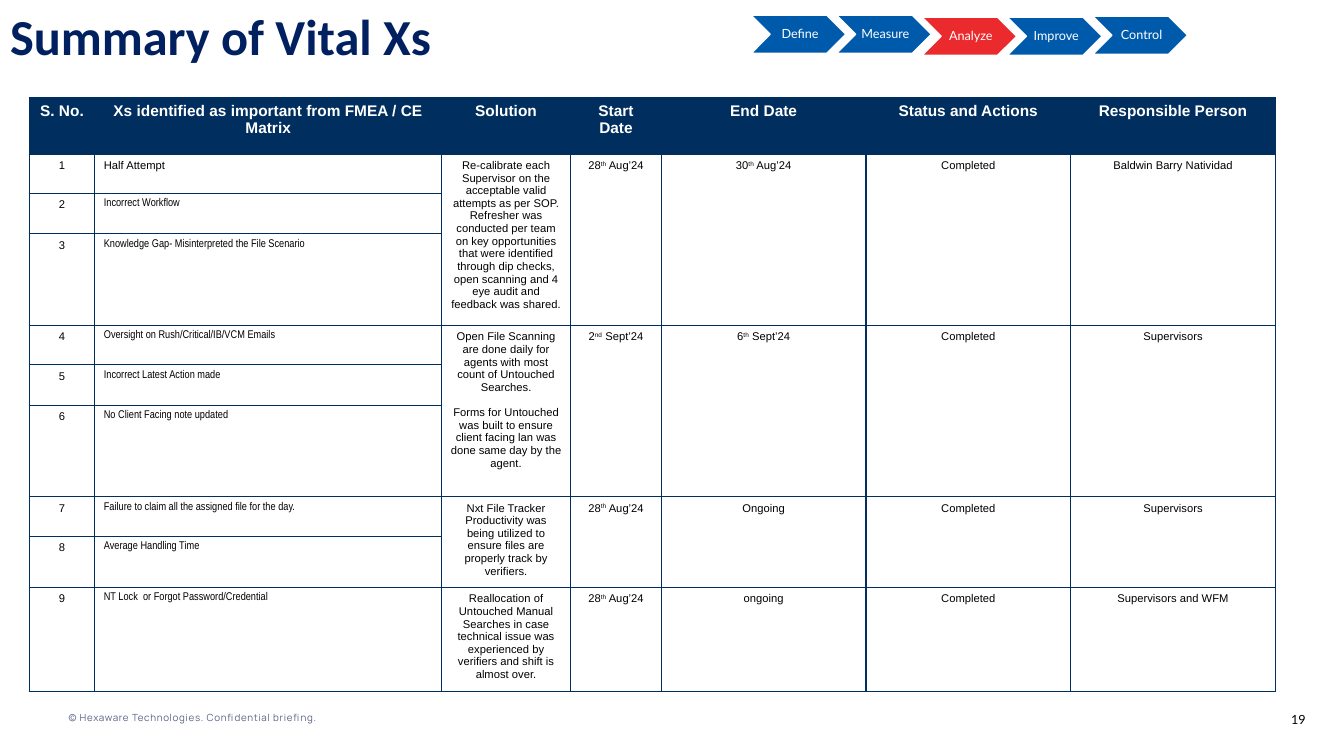
from pptx import Presentation
from pptx.dml.color import RGBColor
from pptx.enum.shapes import MSO_SHAPE as SHAPE
from pptx.enum.text import MSO_ANCHOR as ANCHOR, MSO_AUTO_SIZE as AUTO, PP_ALIGN as ALIGN
from pptx.oxml import parse_xml
from pptx.oxml.ns import nsdecls
from pptx.util import Inches, Pt

NAVY = "002F5F"
MARGINS = ("margin_left", "margin_top", "margin_right", "margin_bottom")


def style(p, size, font, color, align, bold=False):
    p.alignment = align
    p.font.size, p.font.name, p.font.bold = Pt(size), font, bold
    p.font.color.rgb = RGBColor.from_string(color)


def set_margins(target, *values):
    for name, value in zip(MARGINS, values):
        setattr(target, name, Inches(value))


prs = Presentation()
prs.slide_width, prs.slide_height = Inches(13.33), Inches(7.5)
s = prs.slides.add_slide(prs.slide_layouts[5])

title = s.shapes.title
title.left, title.top, title.width, title.height = 0, 0, prs.slide_width, Inches(0.71)
tf = title.text_frame
tf.text = "Summary of Vital Xs"
tf.auto_size, tf.vertical_anchor = AUTO.NONE, ANCHOR.TOP
style(tf.paragraphs[0], 36, "Calibri", "002060", ALIGN.LEFT, True)

footers = [
    ("19", 12.65, 0.3, 0.15, 9, "Lato", "000000", ALIGN.RIGHT, "0"),
    ("© Hexaware Technologies. Confidential briefing.", 0.68, 3.04, 0.12, 7,
     "Manrope", "5B6383", ALIGN.LEFT, "50"),
]
for text, left, width, height, size, font, color, align, spacing in footers:
    tf = s.shapes.add_textbox(Inches(left), Inches(7.06), Inches(width), Inches(height)).text_frame
    tf.word_wrap = True
    set_margins(tf, 0, 0, 0, 0)
    p = tf.paragraphs[0]
    r = p.add_run()
    r.text = text
    r.font._element.set("spc", spacing)
    style(p, size, font, color, align)

phases = [("Define", 0.15), ("Measure", 0.15), ("Analyze", 0.17), ("Improve", 0.17), ("Control", 0.16)]
for i, (phase, top) in enumerate(phases):
    sp = s.shapes.add_shape(SHAPE.CHEVRON, Inches(7.45 + 0.847 * i), Inches(top),
                            Inches(0.94), Inches(0.38))
    sp.shadow.inherit = False
    sp.fill.solid()
    sp.fill.fore_color.rgb = RGBColor.from_string("EB2A2D" if phase == "Analyze" else "005AAB")
    sp.line.color.rgb = RGBColor.from_string("FFFFFF")
    sp.line.width = Pt(1)
    tf = sp.text_frame
    tf.text = phase
    tf.word_wrap, tf.vertical_anchor = True, ANCHOR.MIDDLE
    set_margins(tf, 0.04, 0.01, 0.01, 0.01)
    tf.paragraphs[0].line_spacing = 0.9
    style(tf.paragraphs[0], 9, "Lato", "FFFFFF", ALIGN.CENTER)

headers = ["S. No.", "Xs identified as important from FMEA / CE Matrix", "Solution", "Start Date",
           "End Date", "Status and Actions", "Responsible Person"]
groups = [
    (["Half Attempt", "Incorrect Workflow", "Knowledge Gap- Misinterpreted the File Scenario"],
     ["Re-calibrate each Supervisor on the acceptable valid attempts as per SOP. Refresher was "
      "conducted per team on key opportunities that were identified through dip checks, open "
      "scanning and 4 eye audit and feedback was shared.",
      "28^th^ Aug’24", "30^th^ Aug’24", "Completed", "Baldwin Barry Natividad"]),
    (["Oversight on Rush/Critical/IB/VCM Emails", "Incorrect Latest Action made",
      "No Client Facing note updated"],
     ["Open File Scanning are done daily for agents with most count of Untouched Searches.\n"
      "Forms for Untouched was built to ensure client facing lan was done same day by the agent.",
      "2^nd^ Sept’24", "6^th^ Sept’24", "Completed", "Supervisors"]),
    (["Failure to claim all the assigned file for the day.", "Average Handling Time"],
     ["Nxt File Tracker Productivity was being utilized to ensure files are properly track by "
      "verifiers.", "28^th^ Aug’24", "Ongoing", "Completed", "Supervisors"]),
    (["NT Lock  or Forgot Password/Credential"],
     ["Reallocation of Untouched Manual Searches in case technical issue was experienced by "
      "verifiers and shift is almost over.",
      "28^th^ Aug’24", "ongoing", "Completed", "Supervisors and WFM"]),
]
widths = [0.65, 3.44, 1.28, 0.9, 2.03, 2.03, 2.03]
heights = [0.56, 0.39, 0.4, 0.91, 0.39, 0.4, 0.91, 0.39, 0.51, 1.03]

table = s.shapes.add_table(len(heights), len(widths), Inches(0.29), Inches(0.97),
                           Inches(sum(widths)), Inches(sum(heights))).table
table.horz_banding = False
for column, width in zip(table.columns, widths):
    column.width = Inches(width)
for row, height in zip(table.rows, heights):
    row.height = Inches(height)

rows = [headers]
for causes, details in groups:
    first = len(rows)
    for cause in causes:
        rows.append([str(len(rows)), cause] + (details if len(rows) == first else [""] * 5))
    if len(causes) > 1:
        for c in range(2, 7):
            table.cell(first, c).merge(table.cell(len(rows) - 1, c))

for i, row in enumerate(rows):
    for j, text in enumerate(row):
        cell = table.cell(i, j)
        set_margins(cell, 0.09, 0.05, 0.09, 0.05)
        tcPr = cell._tc.get_or_add_tcPr()
        for side in ("lnL", "lnR", "lnT", "lnB"):
            tcPr.append(parse_xml(
                f'<a:{side} {nsdecls("a")} w="12700"><a:solidFill><a:srgbClr val="{NAVY}"/>'
                f'</a:solidFill></a:{side}>'))
        if i == 0:
            cell.fill.solid()
            cell.fill.fore_color.rgb = RGBColor.from_string(NAVY)
        else:
            cell.fill.background()
        for k, line in enumerate(text.split("\n")):
            p = cell.text_frame.add_paragraph() if k else cell.text_frame.paragraphs[0]
            if k:
                p.space_before = Pt(9)
            for n, part in enumerate(line.split("^")):
                if part:
                    r = p.add_run()
                    r.text = part
                    if n % 2:
                        r.font._element.set("baseline", "30000")
            if i == 0:
                style(p, 11, "Arial", "FFFFFF", ALIGN.CENTER, True)
            else:
                style(p, 8, "Arial Narrow" if j == 1 and i > 1 else "Arial", "000000",
                      ALIGN.LEFT if j == 1 else ALIGN.CENTER)

prs.save("out.pptx")
